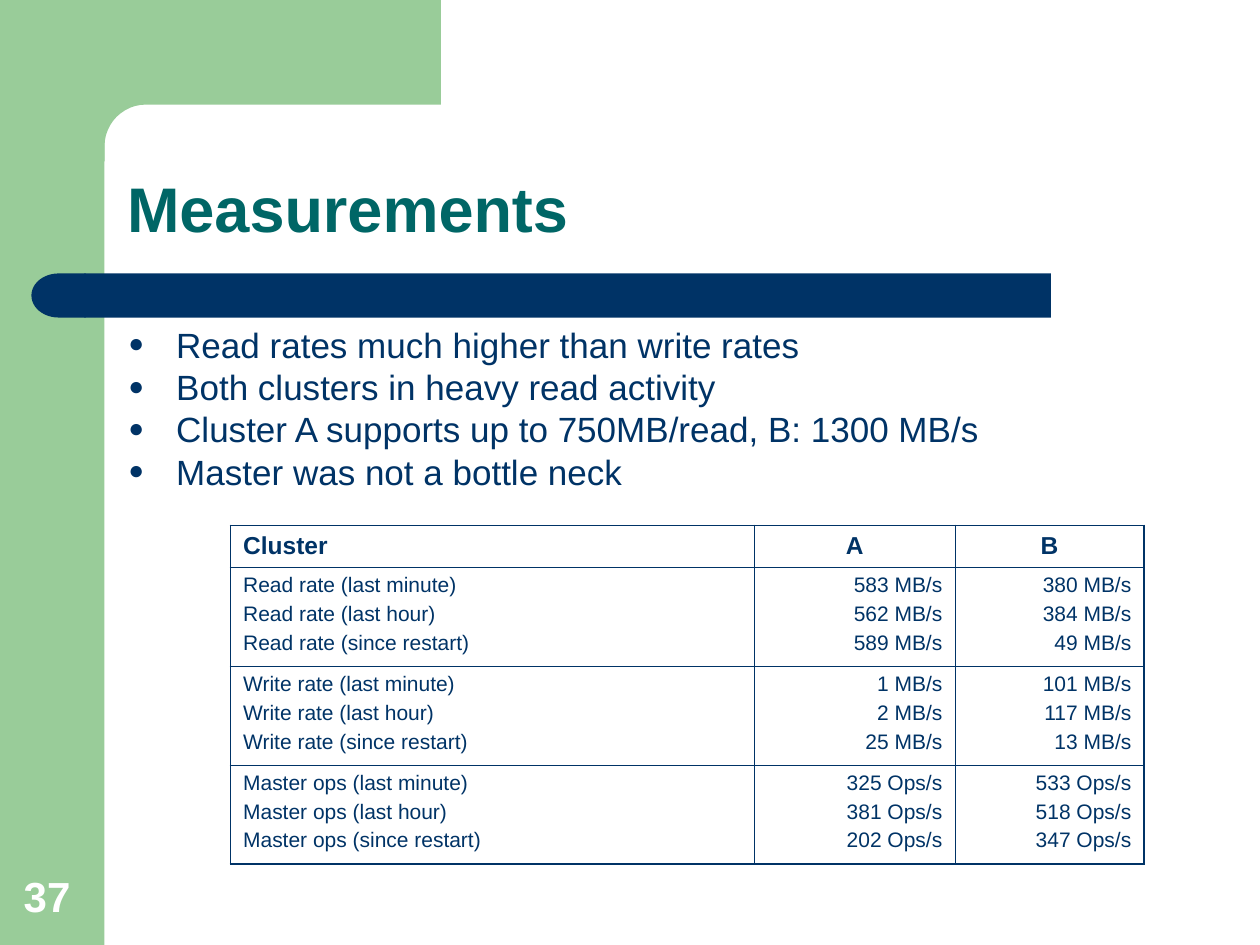
from math import cos, pi, sin

from lxml.etree import SubElement
from pptx import Presentation
from pptx.dml.color import RGBColor
from pptx.enum.shapes import MSO_SHAPE
from pptx.enum.text import MSO_ANCHOR, PP_ALIGN
from pptx.oxml.ns import qn
from pptx.util import Inches, Pt

COLORS = {"green": "99CC99", "navy": "003366", "teal": "006666", "white": "FFFFFF"}


def write_text(text_frame, text, size, color="navy", bold=False, align=PP_ALIGN.LEFT,
               line_spacing=1.0, space_before=0, bullet=None, indent=0):
    """Fill a text frame with one paragraph for each line of the text."""
    text_frame.word_wrap = True
    for index, line in enumerate(text.split("\n")):
        paragraph = text_frame.paragraphs[0] if index == 0 else text_frame.add_paragraph()
        paragraph.alignment = align
        paragraph.line_spacing = line_spacing
        paragraph.space_before = Pt(space_before if index else 0)
        if bullet:
            properties = paragraph._p.get_or_add_pPr()
            properties.set("marL", str(Inches(indent)))
            properties.set("indent", str(-Inches(indent)))
            bullet_color = SubElement(properties, qn("a:buClr"))
            SubElement(bullet_color, qn("a:srgbClr"), val=COLORS[color])
            SubElement(properties, qn("a:buSzPct"), val="75000")
            SubElement(properties, qn("a:buFont"), typeface="Arial")
            SubElement(properties, qn("a:buChar"), char=bullet)
        run = paragraph.add_run()
        run.text = line
        run.font.name = "Arial"
        run.font.size = Pt(size)
        run.font.bold = bold
        run.font.color.rgb = RGBColor.from_string(COLORS[color])


def set_borders(cell, widths):
    """Draw navy cell borders; widths maps L, R, T and B to points."""
    properties = cell._tc.get_or_add_tcPr()
    for side, width in widths.items():
        line = SubElement(properties, qn(f"a:ln{side}"), w=str(Pt(width)))
        fill = SubElement(line, qn("a:solidFill"))
        SubElement(fill, qn("a:srgbClr"), val=COLORS["navy"])


presentation = Presentation()
presentation.slide_width = Inches(10)
presentation.slide_height = Inches(7.5)
slide = presentation.slides.add_slide(presentation.slide_layouts[6])
shapes = slide.shapes

# Green side band, corner with a rounded inner edge, and navy title bar
side_band = shapes.add_shape(MSO_SHAPE.RECTANGLE, 0, 0, Inches(0.83), Inches(7.5))

radius, center = 0.33, 1.16
arc = [(center - radius * sin(step * pi / 24), center - radius * cos(step * pi / 24))
       for step in range(13)]
outline = [(3.5, 0), (3.5, 0.83), *arc, (0.83, 1.28), (0.5, 1.28), (0.5, 0)]
points = [(Inches(x), Inches(y)) for x, y in outline]
builder = shapes.build_freeform(*points[0])
builder.add_line_segments(points[1:], close=True)
corner = builder.convert_to_shape()

title_bar = shapes.add_shape(MSO_SHAPE.ROUNDED_RECTANGLE, Inches(0.67), Inches(2.17),
                             Inches(7.67), Inches(0.35))
title_bar.adjustments[0] = 0
bar_end = shapes.add_shape(MSO_SHAPE.FLOWCHART_DELAY, Inches(0.25), Inches(2.17),
                           Inches(0.43), Inches(0.35))
bar_end.element.spPr.xfrm.set("flipH", "1")

for shape, color in ((side_band, "green"), (corner, "green"),
                     (title_bar, "navy"), (bar_end, "navy")):
    shape.shadow.inherit = False
    shape.fill.solid()
    shape.fill.fore_color.rgb = RGBColor.from_string(COLORS[color])
    shape.line.fill.background()

# Page number, title and bullets
page_number = shapes.add_textbox(Inches(0.09), Inches(6.83), Inches(0.64), Inches(0.53))
page_number.text_frame.vertical_anchor = MSO_ANCHOR.BOTTOM
write_text(page_number.text_frame, "37", size=24, color="white", bold=True)

title = shapes.add_textbox(Inches(0.91), Inches(0.91), Inches(8.51), Inches(1.09))
title.text_frame.vertical_anchor = MSO_ANCHOR.BOTTOM
write_text(title.text_frame, "Measurements", size=36, color="teal", bold=True,
           line_spacing=0.9)

findings = shapes.add_textbox(Inches(0.92), Inches(2.58), Inches(8.41), Inches(1.42))
write_text(findings.text_frame,
           "Read rates much higher than write rates\n"
           "Both clusters in heavy read activity\n"
           "Cluster A supports up to 750MB/read, B: 1300 MB/s\n"
           "Master was not a bottle neck",
           size=20, line_spacing=0.8, space_before=5, bullet="●", indent=0.38)

# Cluster measurements: each row holds three periods in every cell
PERIODS = ("last minute", "last hour", "since restart")
MEASUREMENTS = [
    ("Read rate", "MB/s", (583, 562, 589), (380, 384, 49)),
    ("Write rate", "MB/s", (1, 2, 25), (101, 117, 13)),
    ("Master ops", "Ops/s", (325, 381, 202), (533, 518, 347)),
]
rows = [("Cluster", "A", "B")]
for name, unit, *clusters in MEASUREMENTS:
    labels = "\n".join(f"{name} ({period})" for period in PERIODS)
    rows.append((labels, *("\n".join(f"{value} {unit}" for value in values)
                           for values in clusters)))

column_widths = (4.16, 1.59, 1.5)
row_heights = (0.33, 0.78, 0.78, 0.78)
table = shapes.add_table(len(rows), len(column_widths), Inches(1.83), Inches(4.17),
                         Inches(sum(column_widths)), Inches(sum(row_heights))).table
table.first_row = False
table.horz_banding = False
for column, width in zip(table.columns, column_widths):
    column.width = Inches(width)
for row, height in zip(table.rows, row_heights):
    row.height = Inches(height)

THIN, THICK = 0.45, 1.08
last_row, last_column = len(rows) - 1, len(column_widths) - 1
for row_index, texts in enumerate(rows):
    header = row_index == 0
    for column_index, text in enumerate(texts):
        cell = table.cell(row_index, column_index)
        if column_index == 0:
            align = PP_ALIGN.LEFT
        else:
            align = PP_ALIGN.CENTER if header else PP_ALIGN.RIGHT
        write_text(cell.text_frame, text, size=14 if header else 12, bold=header,
                   align=align, space_before=3)
        set_borders(cell, {
            "L": THICK if column_index == 0 else THIN,
            "R": THICK if column_index == last_column else THIN,
            "T": THICK if header else THIN,
            "B": THICK if row_index == last_row else THIN,
        })
        cell.fill.background()

presentation.save("out.pptx")
